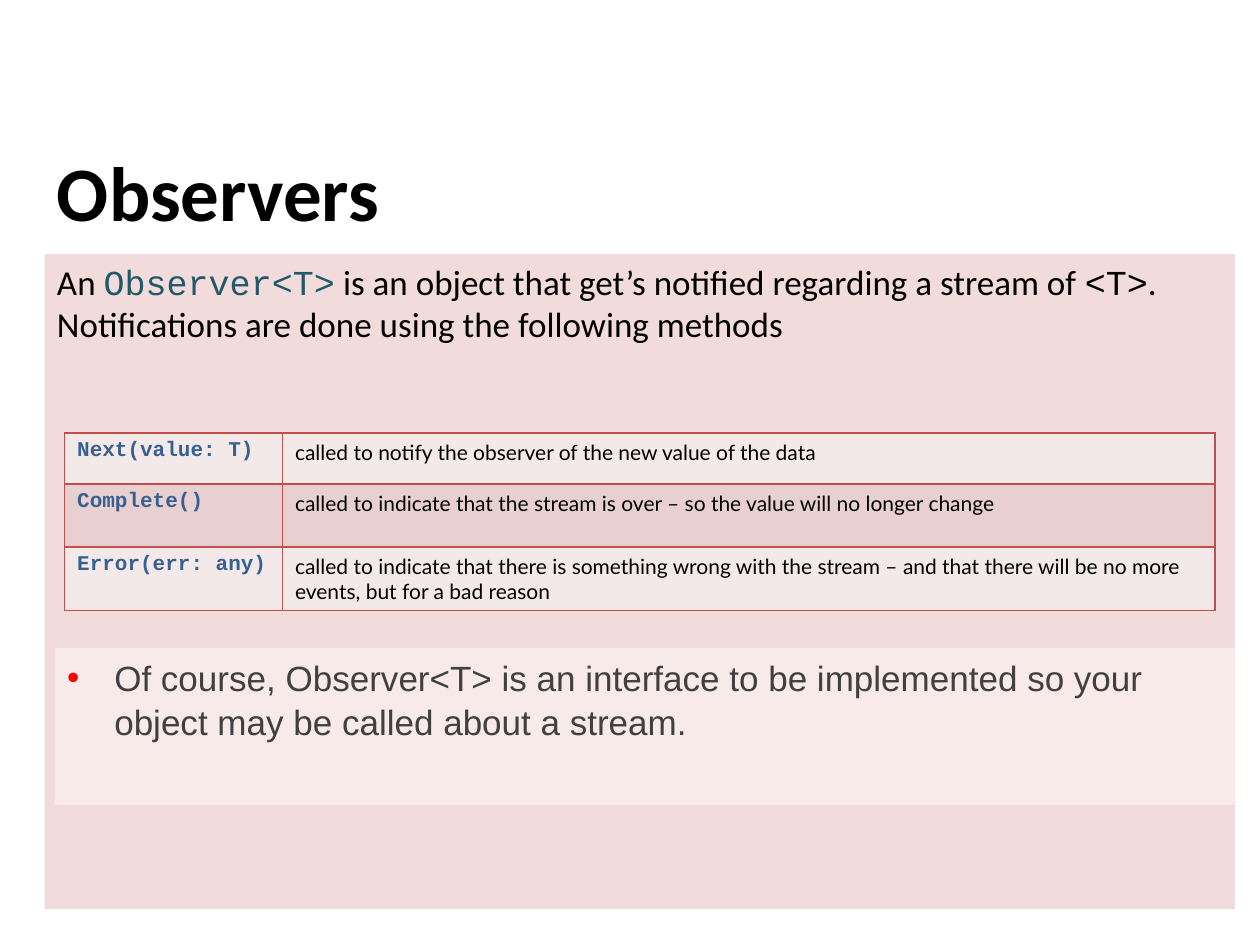
from dataclasses import dataclass

from lxml.etree import SubElement
from pptx import Presentation
from pptx.dml.color import RGBColor as RGB
from pptx.enum.shapes import MSO_SHAPE as SHAPE
from pptx.enum.text import MSO_ANCHOR as ANCHOR, PP_ALIGN as ALIGN
from pptx.oxml import parse_xml
from pptx.oxml.ns import nsdecls, qn
from pptx.util import Pt


@dataclass(frozen=True)
class Theme:
    panel: str = "F2DCDB"
    white: str = "FFFFFF"
    black: str = "000000"
    gray: str = "404040"
    teal: str = "215968"
    blue: str = "376092"
    red: str = "FF0000"
    border: str = "C0504D"
    bands: tuple = ("F4E9E9", "E8D0D0")
    sans: str = "Calibri"
    mono: str = "Courier New"
    cell: str = "Lato"
    note: str = "Arial"
    title_size: int = 44
    body_size: int = 20
    cell_size: int = 12


class SlideBuilder:
    def __init__(self, slide, theme):
        self.s = slide
        self.t = theme

    def run(self, p, text, font, size, color, bold=False):
        r = p.add_run()
        r.text = text
        r.font.name, r.font.size, r.font.bold = font, Pt(size), bold
        r.font.color.rgb = RGB.from_string(color)

    def title(self, box, text):
        sp = self.s.shapes.add_textbox(*map(Pt, box))
        tf = sp.text_frame
        tf.word_wrap = True
        tf.vertical_anchor = ANCHOR.TOP
        tf.margin_top = Pt(5.5)
        self.run(tf.paragraphs[0], text, self.t.sans, self.t.title_size,
                 self.t.black, True)

    def panel(self, box, color, runs, opacity=None):
        sp = self.s.shapes.add_shape(SHAPE.RECTANGLE, *map(Pt, box))
        sp.shadow.inherit = False
        sp.line.fill.background()
        sp.fill.solid()
        sp.fill.fore_color.rgb = RGB.from_string(color)
        if opacity is not None:
            clr = sp.fill._xPr.find(qn("a:solidFill"))[0]
            SubElement(clr, qn("a:alpha"), val=str(opacity * 1000))
        tf = sp.text_frame
        tf.word_wrap = True
        tf.vertical_anchor = ANCHOR.TOP
        p = tf.paragraphs[0]
        p.alignment = ALIGN.LEFT
        for text, font, text_color in runs:
            self.run(p, text, font, self.t.body_size, text_color)
        return sp

    def bullet(self, p, indent, color):
        pPr = p._p.get_or_add_pPr()
        pPr.set("marL", str(Pt(indent)))
        pPr.set("indent", str(-Pt(indent)))
        clr = SubElement(pPr, qn("a:buClr"))
        SubElement(clr, qn("a:srgbClr"), val=color)
        SubElement(pPr, qn("a:buFont"), typeface=self.t.note)
        SubElement(pPr, qn("a:buChar"), char="•")

    def borders(self, cell):
        tcPr = cell._tc.get_or_add_tcPr()
        for i, side in enumerate(("lnL", "lnR", "lnT", "lnB")):
            tcPr.insert(i, parse_xml(
                f'<a:{side} {nsdecls("a")} w="{Pt(1)}"><a:solidFill>'
                f'<a:srgbClr val="{self.t.border}"/></a:solidFill></a:{side}>'))

    def table(self, left, top, widths, heights, rows):
        t = self.t
        tbl = self.s.shapes.add_table(
            len(rows), len(widths), Pt(left), Pt(top),
            Pt(sum(widths)), Pt(sum(heights))).table
        tbl.first_row = tbl.horz_banding = False
        for col, width in zip(tbl.columns, widths):
            col.width = Pt(width)
        styles = ((t.mono, t.blue, True), (t.cell, t.black, False))
        for i, (texts, height) in enumerate(zip(rows, heights)):
            tbl.rows[i].height = Pt(height)
            for j, (text, (font, color, bold)) in enumerate(zip(texts, styles)):
                cell = tbl.cell(i, j)
                cell.fill.solid()
                cell.fill.fore_color.rgb = RGB.from_string(t.bands[i % 2])
                self.borders(cell)
                self.run(cell.text_frame.paragraphs[0], text, font,
                         t.cell_size, color, bold)


def main():
    prs = Presentation()
    prs.slide_width, prs.slide_height = Pt(720), Pt(540)
    t = Theme()
    b = SlideBuilder(prs.slides.add_slide(prs.slide_layouts[6]), t)

    # Body panel with the definition
    b.panel((25.5, 145.2, 680.2, 374.4), t.panel, [
        ("An ", t.sans, t.black),
        ("Observer<T>", t.mono, t.teal),
        (" is an object that get’s notified regarding a stream of ", t.sans, t.black),
        ("<T>", t.mono, t.black),
        (". Notifications are done using the following methods", t.sans, t.black),
    ])

    # Title
    b.title((25.5, 77, 680.2, 56.2), "Observers")

    # Observer methods
    b.table(36.9, 247.5, (124.5, 533), (29.2, 36, 36), [
        ("Next(value: T)",
         "called to notify the observer of the new value of the data"),
        ("Complete()",
         "called to indicate that the stream is over – so the value will no longer change"),
        ("Error(err: any)",
         "called to indicate that there is something wrong with the stream – and that "
         "there will be no more events, but for a bad reason"),
    ])

    # Closing note
    note = b.panel((31.2, 370.2, 674.5, 89.8), t.white, [
        ("Of course, Observer<T> is an interface to be implemented so your "
         "object may be called about a stream.", t.note, t.gray),
    ], opacity=40)
    p = note.text_frame.paragraphs[0]
    p.line_spacing = 1.05
    b.bullet(p, 27, t.red)

    prs.save("out.pptx")


if __name__ == "__main__":
    main()
